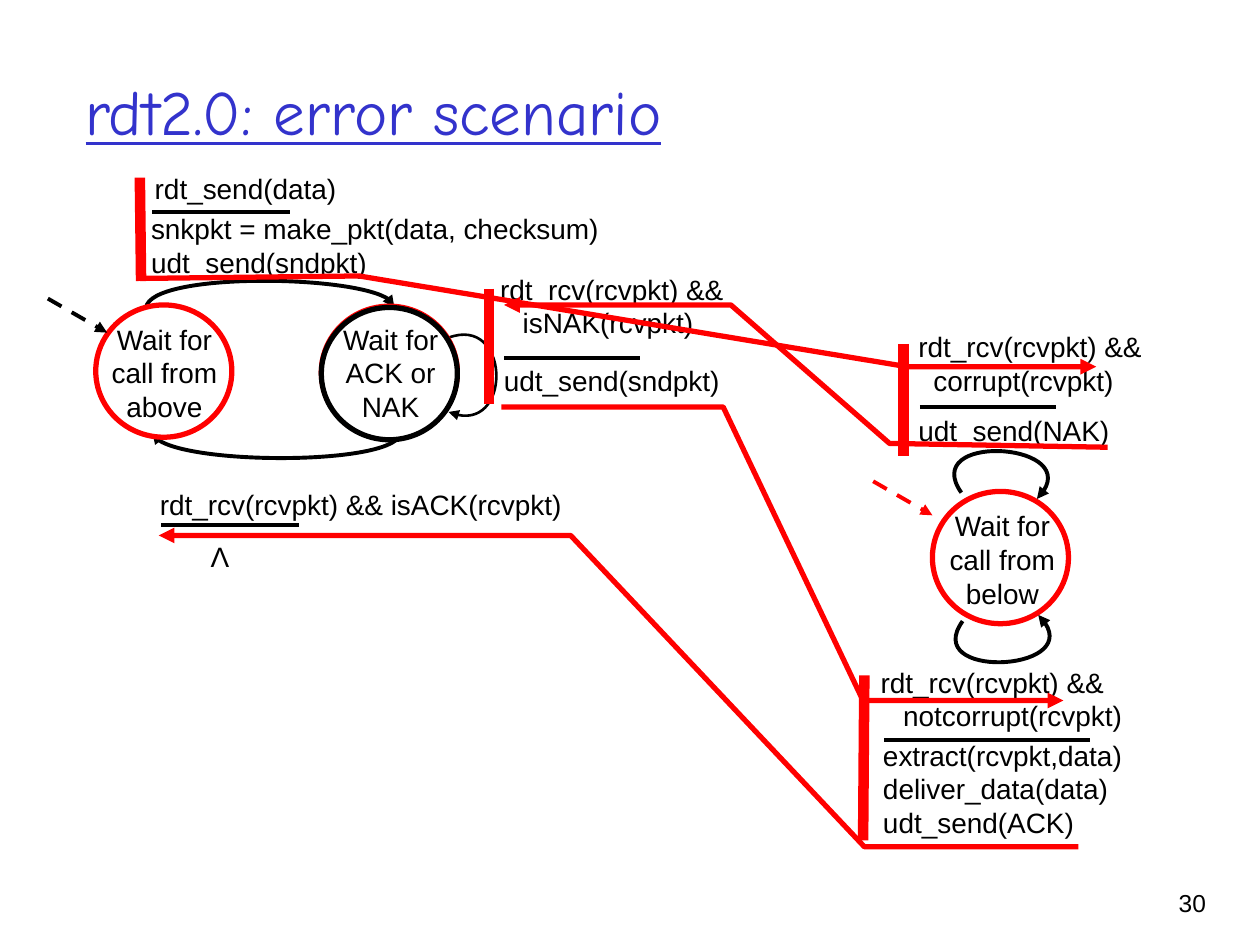
from lxml.etree import SubElement
from pptx import Presentation
from pptx.dml.color import RGBColor
from pptx.enum.dml import MSO_LINE
from pptx.enum.shapes import MSO_CONNECTOR, MSO_SHAPE
from pptx.enum.text import MSO_ANCHOR, PP_ALIGN
from pptx.oxml.ns import qn
from pptx.util import Inches, Pt

COLORS = {"title": "3333CC", "black": "000000", "red": "FF0000", "white": "FFFFFF"}

presentation = Presentation()
presentation.slide_width, presentation.slide_height = Inches(10), Inches(7.5)
slide = presentation.slides.add_slide(presentation.slide_layouts[5])
shapes = slide.shapes


def style_line(shape, color, width, arrow=False, dashed=False):
    shape.line.color.rgb = RGBColor.from_string(COLORS[color])
    shape.line.width = Pt(width)
    if dashed:
        shape.line.dash_style = MSO_LINE.DASH
    properties = shape._element.spPr
    if arrow:
        SubElement(properties.find(qn("a:ln")), qn("a:tailEnd"), type="triangle")
    SubElement(properties, qn("a:effectLst"))


def add_text(left, top, width, height, lines, align=PP_ALIGN.LEFT, size=16, indent=0):
    box = shapes.add_textbox(Inches(left), Inches(top), Inches(width), Inches(height))
    frame = box.text_frame
    frame.word_wrap = True
    frame.text = "\n".join(lines)
    for paragraph in frame.paragraphs:
        paragraph.alignment = align
        paragraph.font.name = "Arial"
        paragraph.font.size = Pt(size)
        paragraph.font.color.rgb = RGBColor.from_string(COLORS["black"])
    if indent:
        paragraph._p.get_or_add_pPr().set("marL", str(Inches(indent)))


title = shapes.title
title.left, title.top, title.width, title.height = map(Inches, (0.58, 0.25, 8.5, 1.25))
title.text_frame.text = "rdt2.0: error scenario"
title.text_frame.vertical_anchor = MSO_ANCHOR.MIDDLE
heading = title.text_frame.paragraphs[0]
heading.alignment = PP_ALIGN.LEFT
heading.font.name = "Comic Neue"
heading.font.size = Pt(36)
heading.font.underline = True
heading.font.color.rgb = RGBColor.from_string(COLORS["title"])

transitions = [
    ([(1.16, 2.44), (1.2, 2.16), (3.13, 2.18), (3.13, 2.44)], "black", 2.25),
    ([(3.18, 3.43), (3.18, 3.69), (1.25, 3.7), (1.21, 3.43)], "black", 2.25),
    ([(3.56, 2.68), (4.04, 2.5), (4.07, 3.48), (3.56, 3.27)], "black", 1.5),
    ([(7.63, 3.91), (7.3, 3.44), (8.67, 3.51), (8.23, 3.96)], "black", 2.25),
    ([(7.64, 4.93), (7.31, 5.39), (8.69, 5.33), (8.24, 4.88)], "black", 2.25),
]
packet_flows = [
    ([(1.11, 2.21), (2.85, 2.19), (7.2, 2.91), (8.7, 2.91)], "red", 3),
    ([(8.56, 6.72), (6.86, 6.72), (4.53, 4.25), (1.26, 4.25)], "red", 3),
    ([(8.79, 3.55), (7.06, 3.52), (5.8, 2.42), (4, 2.42)], "red", 3),
    ([(3.98, 3.23), (5.74, 3.23), (6.85, 5.56), (8.44, 5.56)], "red", 3),
]
states = [
    (0.76, 2.42, "red"),
    (2.55, 2.43, "red"),
    (2.55, 2.44, "black"),
    (7.4, 3.9, "red"),
]
state_labels = [
    (0.65, 2.51, 1.31, "Wait for call from above"),
    (2.51, 2.51, 1.18, "Wait for ACK or NAK"),
    (7.3, 3.99, 1.31, "Wait for call from below"),
]
actions = [
    (1.13, 1.31, 2.47, 0.47, ["rdt_send(data)"], 0),
    (1.1, 1.63, 3.98, 0.44, ["snkpkt = make_pkt(data, checksum)", "udt_send(sndpkt)"], 0),
    (3.87, 2.11, 2.28, 0.69, ["rdt_rcv(rcvpkt) &&", "isNAK(rcvpkt)"], 0.18),
    (3.9, 2.84, 1.93, 0.44, ["udt_send(sndpkt)"], 0),
    (1.17, 3.82, 3.88, 0.31, ["rdt_rcv(rcvpkt) && isACK(rcvpkt)"], 0),
    (7.19, 2.57, 2.1, 0.34, ["rdt_rcv(rcvpkt) &&", "corrupt(rcvpkt)"], 0.12),
    (7.19, 3.23, 2, 0.28, ["udt_send(NAK)"], 0),
    (6.89, 5.23, 2.36, 0.77, ["rdt_rcv(rcvpkt) &&", "notcorrupt(rcvpkt)"], 0.18),
    (6.91, 5.81, 2.34, 0.68,
     ["extract(rcvpkt,data)", "deliver_data(data)", "udt_send(ACK)"], 0),
]
event_rules = [(1.21, 1.68, 1.09), (1.28, 4.17, 1.09), (4, 2.84, 1.08),
               (7.3, 3.23, 1.08), (7.02, 5.87, 1.63)]
active_bars = [(1.11, 1.41, 1.12, 2.23), (6.86, 5.36, 6.85, 6.67),
               (7.17, 2.73, 7.17, 3.62), (3.88, 2.29, 3.88, 3.21)]
start_arrows = [(0.38, 2.37, 0.85, 2.64, "black"), (6.93, 3.82, 7.4, 4.09, "red")]

for left, top, width, height, lines, indent in actions:
    add_text(left, top, width, height, lines, indent=indent)

for points, color, width in transitions + packet_flows:
    corners = [(Inches(x), Inches(y)) for x, y in points]
    builder = shapes.build_freeform(*corners[0])
    builder.add_line_segments(corners[1:], close=False)
    route = builder.convert_to_shape()
    route.fill.background()
    style_line(route, color, width, arrow=True)
    if color == "black":
        segments = route._element.xpath(".//a:lnTo")
        curve = SubElement(segments[0].getparent(), qn("a:cubicBezTo"))
        for segment in segments:
            curve.append(segment[0])
            segment.getparent().remove(segment)

for left, top, color in states:
    circle = shapes.add_shape(
        MSO_SHAPE.OVAL, Inches(left), Inches(top), Inches(1.08), Inches(1.05))
    circle.fill.solid()
    circle.fill.fore_color.rgb = RGBColor.from_string(COLORS["white"])
    style_line(circle, color, 3)

for left, top, width, label in state_labels:
    add_text(left, top, width, 0.67, [label], PP_ALIGN.CENTER)

lines = [(x, y, x + length, y, "black", 2.25, False) for x, y, length in event_rules]
lines += [(*bar, "red", 6, False) for bar in active_bars]
lines += [(*arrow, 2.25, True) for arrow in start_arrows]
for x1, y1, x2, y2, color, width, starting in lines:
    connector = shapes.add_connector(
        MSO_CONNECTOR.STRAIGHT, Inches(x1), Inches(y1), Inches(x2), Inches(y2))
    style_line(connector, color, width, arrow=starting, dashed=starting)

add_text(1.57, 4.23, 0.35, 0.37, ["Λ"], PP_ALIGN.CENTER)
add_text(8.93, 7, 0.74, 0.5, ["30"], PP_ALIGN.RIGHT, size=14)

presentation.save("out.pptx")
